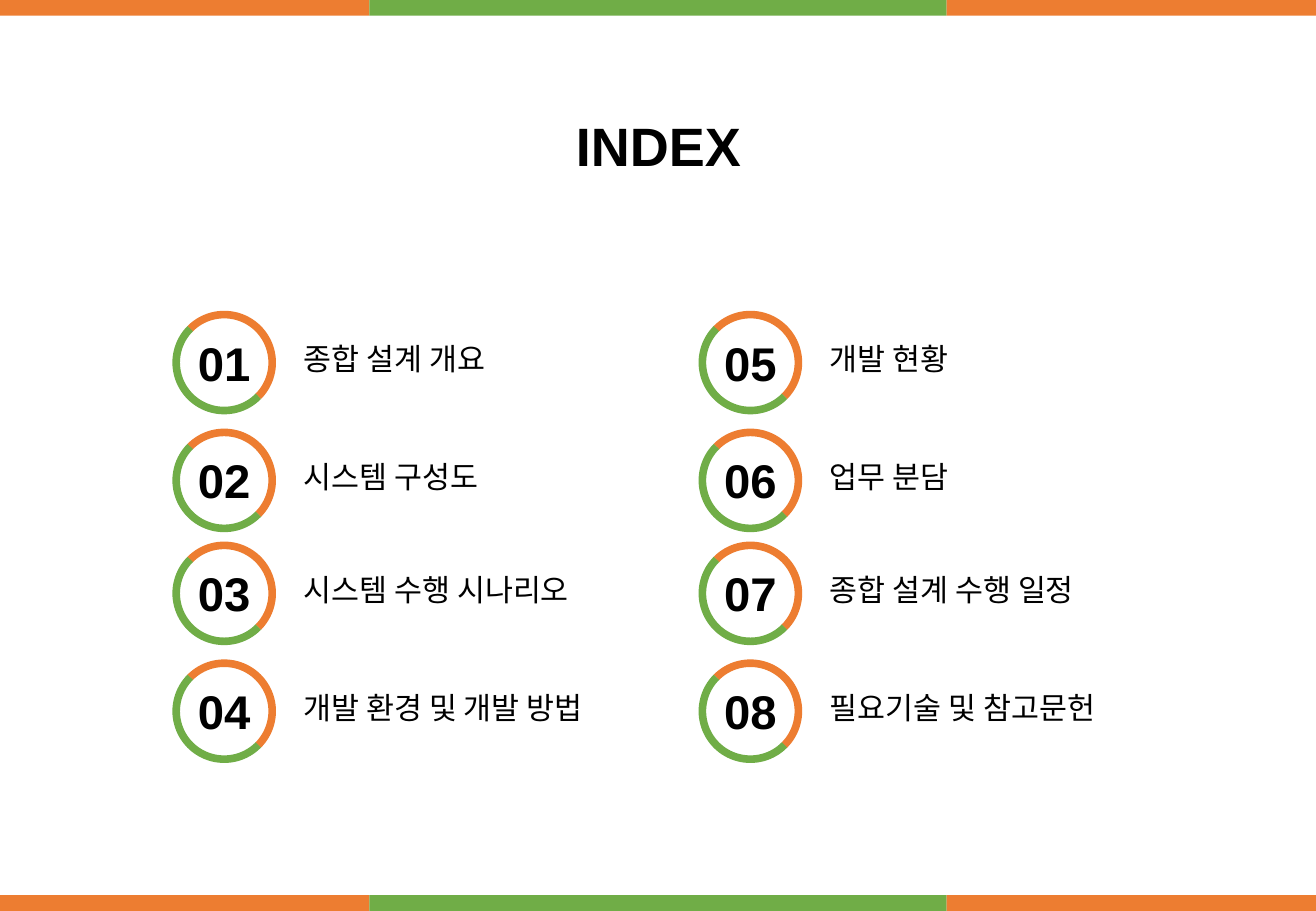
"""Build the INDEX slide: two columns of numbered rings with chapter names."""
import dataclasses
import itertools

import pptx
import pptx.dml.color
import pptx.enum.shapes
import pptx.enum.text
import pptx.oxml
import pptx.oxml.ns
import pptx.shapes.autoshape
import pptx.slide
import pptx.text.text
import pptx.util

Inches = pptx.util.Inches
Pt = pptx.util.Pt
Align = pptx.enum.text.PP_ALIGN
Anchor = pptx.enum.text.MSO_ANCHOR
Geometry = pptx.enum.shapes.MSO_SHAPE


@dataclasses.dataclass(frozen=True)
class Theme:
    """Colours, font and type sizes of the slide."""
    orange: str = "ED7D31"
    green: str = "70AD47"
    text: str = "000000"
    font: str = "Arial"
    title_size: int = 32
    number_size: int = 28
    label_size: int = 18
    label_line: int = 26
    ring_line: float = 4.5


@dataclasses.dataclass(frozen=True)
class Column:
    """One column of chapters, numbered from first."""
    left: float
    first: int
    chapters: tuple[str, ...]


THEME = Theme()
WIDTH, HEIGHT = 10.83, 7.5
BAR_HEIGHT = 0.13
BAR_EDGES = (0, 3.04, 7.79, WIDTH)
BAR_COLOURS = (THEME.orange, THEME.green, THEME.orange)
ROW_TOP = 2.59
ROW_PITCHES = (0.97, 0.93, 0.97)
RING_SIZE = 0.79
COLUMNS = (
    Column(1.45, 1, ("종합 설계 개요", "시스템 구성도", "시스템 수행 시나리오", "개발 환경 및 개발 방법")),
    Column(5.78, 5, ("개발 현황", "업무 분담", "종합 설계 수행 일정", "필요기술 및 참고문헌")),
)


def place(shape: pptx.shapes.autoshape.Shape, left: float, top: float, width: float, height: float) -> None:
    """Move and size a shape, in inches."""
    shape.left, shape.top = Inches(left), Inches(top)
    shape.width, shape.height = Inches(width), Inches(height)


def add_run(paragraph: pptx.text.text._Paragraph, text: str, size: int, bold: bool) -> None:
    """Add one formatted run to a paragraph."""
    run = paragraph.add_run()
    run.text = text
    run.font.name = THEME.font
    run.font.size = Pt(size)
    run.font.bold = bold
    run.font.color.rgb = pptx.dml.color.RGBColor.from_string(THEME.text)


def set_frame(shape: pptx.shapes.autoshape.Shape, wrap: bool) -> pptx.text.text.TextFrame:
    """Anchor a shape's text at the top and return its frame."""
    frame = shape.text_frame
    frame.auto_size = pptx.enum.text.MSO_AUTO_SIZE.NONE
    frame.vertical_anchor = Anchor.TOP
    frame.word_wrap = wrap
    return frame


def add_bars(slide: pptx.slide.Slide, top: float) -> None:
    """Draw the three-colour band across the slide."""
    for (left, right), colour in zip(itertools.pairwise(BAR_EDGES), BAR_COLOURS):
        bar = slide.shapes.add_shape(
            Geometry.RECTANGLE, Inches(left), Inches(top), Inches(right - left), Inches(BAR_HEIGHT))
        bar.shadow.inherit = False
        bar.fill.solid()
        bar.fill.fore_color.rgb = pptx.dml.color.RGBColor.from_string(colour)
        bar.line.fill.background()


def add_ring(slide: pptx.slide.Slide, left: float, top: float, number: int) -> None:
    """Draw two half-circle arcs around a two-digit number."""
    for rotation, colour in ((45, THEME.orange), (225, THEME.green)):
        arc = slide.shapes.add_shape(
            Geometry.ARC, Inches(left), Inches(top), Inches(RING_SIZE), Inches(RING_SIZE))
        arc.adjustments[0], arc.adjustments[1] = 107.806, 0
        arc.rotation = rotation
        arc.shadow.inherit = False
        arc.fill.background()
        arc.line.color.rgb = pptx.dml.color.RGBColor.from_string(colour)
        arc.line.width = Pt(THEME.ring_line)
    box = slide.shapes.add_textbox(
        Inches(left), Inches(top + 0.11), Inches(RING_SIZE), Inches(0.57))
    paragraph = set_frame(box, True).paragraphs[0]
    paragraph.alignment = Align.CENTER
    add_run(paragraph, f"{number:02}", THEME.number_size, True)


def fill_chapters(body: pptx.shapes.autoshape.Shape, column: Column) -> None:
    """Write the chapter names as a list without bullets, one per ring."""
    place(body, column.left + 0.95, ROW_TOP + 0.1, 3.2, 3.3)
    frame = set_frame(body, True)
    gaps = [0.0] + [pitch * 72 - THEME.label_line for pitch in ROW_PITCHES]
    for index, (chapter, gap) in enumerate(zip(column.chapters, gaps)):
        paragraph = frame.add_paragraph() if index else frame.paragraphs[0]
        paragraph.alignment = Align.LEFT
        paragraph.line_spacing = Pt(THEME.label_line)
        paragraph.space_before = Pt(gap)
        paragraph.space_after = Pt(0)
        properties = paragraph._p.get_or_add_pPr()
        properties.set("marL", "0")
        properties.set("indent", "0")
        properties.append(pptx.oxml.parse_xml(f"<a:buNone {pptx.oxml.ns.nsdecls('a')}/>"))
        add_run(paragraph, chapter, THEME.label_size, False)


def main() -> None:
    """Build and save the slide."""
    presentation = pptx.Presentation()
    presentation.slide_width, presentation.slide_height = Inches(WIDTH), Inches(HEIGHT)
    slide = presentation.slides.add_slide(presentation.slide_layouts.get_by_name("Two Content"))
    for top in (0, HEIGHT - BAR_HEIGHT):
        add_bars(slide, top)

    title = slide.shapes.title
    place(title, 4.43, 0.88, 1.98, 0.64)
    paragraph = set_frame(title, False).paragraphs[0]
    paragraph.alignment = Align.CENTER
    add_run(paragraph, "INDEX", THEME.title_size, True)

    row_tops = tuple(itertools.accumulate(ROW_PITCHES, initial=ROW_TOP))
    for column, body in zip(COLUMNS, (slide.placeholders[1], slide.placeholders[2])):
        fill_chapters(body, column)
        for number, top in enumerate(row_tops, column.first):
            add_ring(slide, column.left, top, number)
    presentation.save("out.pptx")


if __name__ == "__main__":
    main()
